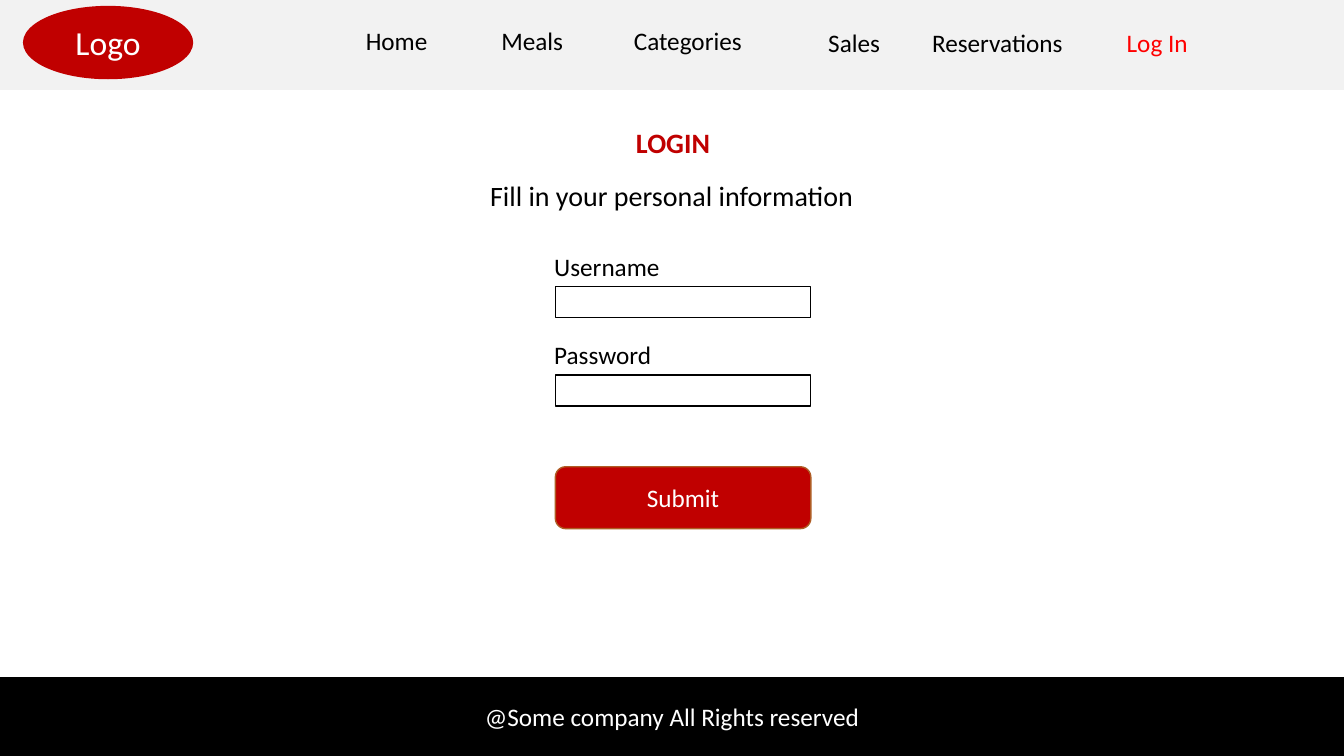
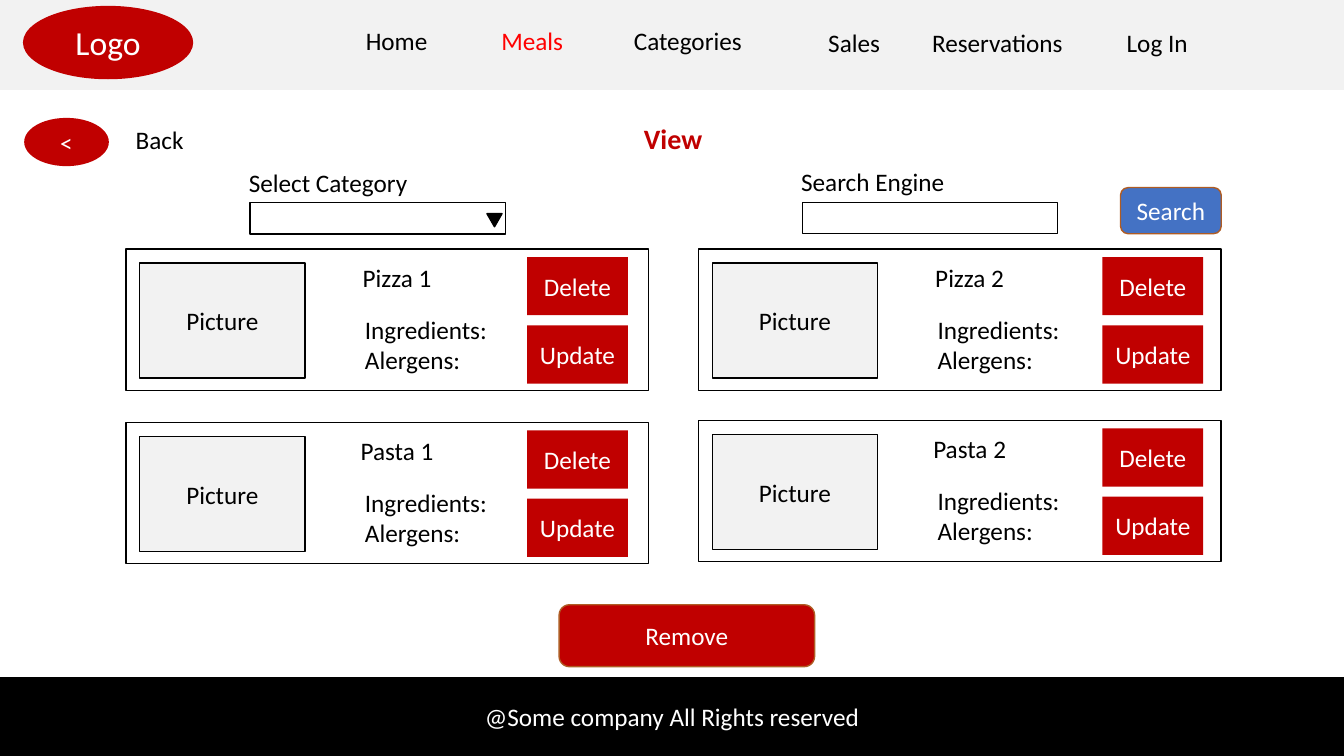
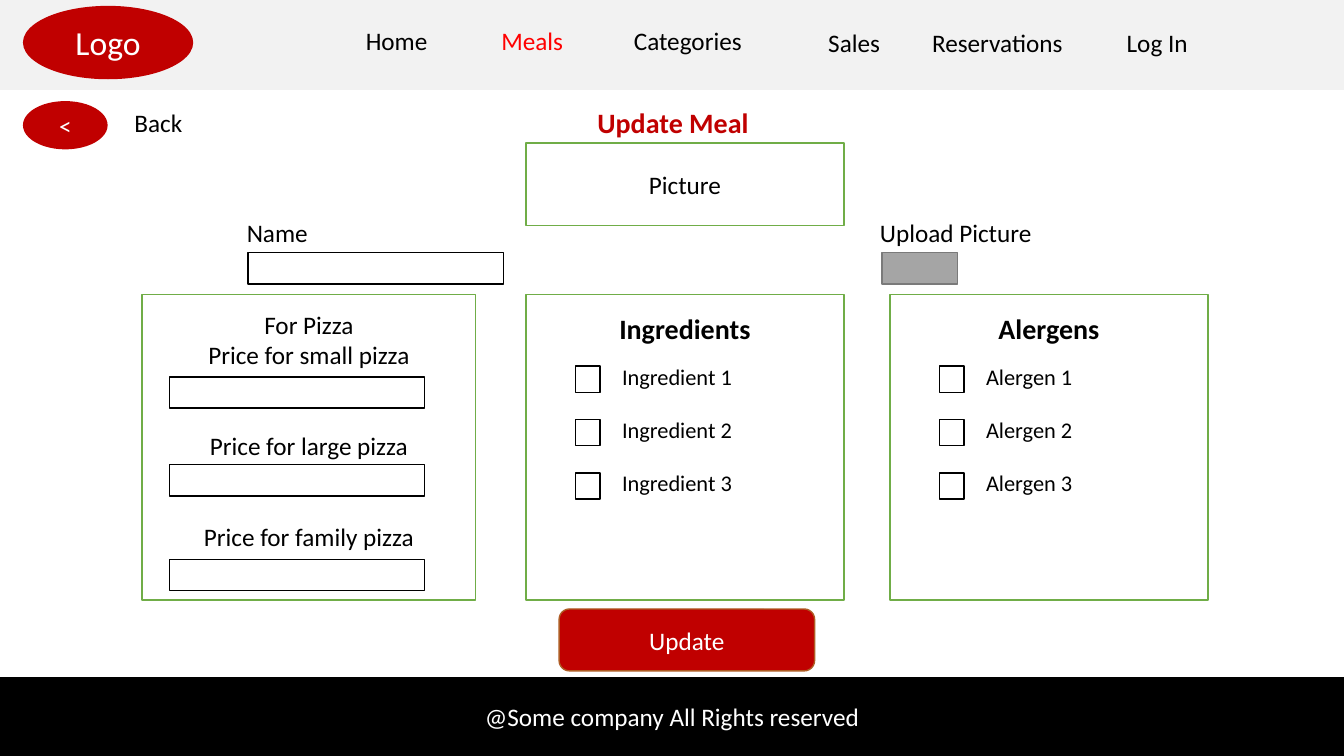
from dataclasses import dataclass

from pptx import Presentation
from pptx.dml.color import RGBColor
from pptx.enum.shapes import MSO_SHAPE
from pptx.enum.text import MSO_ANCHOR, MSO_AUTO_SIZE, PP_ALIGN
from pptx.util import Pt

RECT, ROUNDED = MSO_SHAPE.RECTANGLE, MSO_SHAPE.ROUNDED_RECTANGLE
OVAL, TRIANGLE = MSO_SHAPE.OVAL, MSO_SHAPE.ISOSCELES_TRIANGLE
LEFT, CENTER = PP_ALIGN.LEFT, PP_ALIGN.CENTER
TOP, MIDDLE = MSO_ANCHOR.TOP, MSO_ANCHOR.MIDDLE
GROW = MSO_AUTO_SIZE.SHAPE_TO_FIT_TEXT


@dataclass(frozen=True)
class Theme:
    """Colours, font and type sizes shared by all slides."""
    font: str = "Calibri"
    black: str = "000000"
    white: str = "FFFFFF"
    red: str = "C00000"
    active: str = "FF0000"
    pale: str = "F2F2F2"
    blue: str = "4472C4"
    green: str = "70AD47"
    gray: str = "A5A5A5"
    gray_edge: str = "7A7A7A"
    button_edge: str = "AF5C24"
    small: int = 16
    body: int = 18
    heading: int = 20
    logo: int = 24


T = Theme()

# ---- Content (positions in points) ----
SLIDE_W, SLIDE_H = 960, 540
LOGO = "Logo"
FOOTER = "@Some company All Rights reserved"
NAV = [  # label, left, top, width, alignment
    ("Home", 254.2, 14.4, 59.8, LEFT),
    ("Meals", 344.2, 14.4, 72, CENTER),
    ("Categories", 429.8, 14.4, 123, CENTER),
    ("Sales", 548.6, 15.8, 123, CENTER),
    ("Reservations", 650.9, 15.8, 123, CENTER),
    ("Log In", 790.6, 15.8, 72, CENTER),
]
LOGIN_PROMPT = "Fill in your personal information"
LOGIN_FIELDS = [("Username", 204.5), ("Password", 267.8)]
MEALS = [  # name, card left, card top, buttons left
    ("Pizza 1", 90, 177.8, 376.5),
    ("Pizza 2", 499, 177.8, 787.5),
    ("Pasta 1", 90, 301.6, 376.5),
    ("Pasta 2", 499, 300.2, 787.5),
]
MEAL_DETAILS = ["Ingredients:", "Alergens:"]
MEAL_ACTIONS = ["Delete", "Update"]
PRICES = ["For Pizza", "Price for small pizza", "Price for large pizza",
          "Price for family pizza"]
PRICE_FIELD_TOPS = [269.2, 331.9, 399.6]
CHECKLISTS = [  # heading, panel left, options
    ("Ingredients", 375.8, ["Ingredient 1", "Ingredient 2", "Ingredient 3"]),
    ("Alergens", 635.8, ["Alergen 1", "Alergen 2", "Alergen 3"]),
]

# ---- Shared measures ----
FIELD_W, FIELD_H = 182.5, 22.4
LABEL_H, HEADING_H = 29, 31.5
LABEL_DX, LABEL_DY = -7.9, -28.9
PANEL_TOP, PANEL_W, PANEL_H = 210.3, 227, 218.4
CHECK_PITCH = 38.2


def write(frame, lines, size, color, align, bold=False, gaps=()):
    """Fill a text frame with one paragraph per line; gaps go above lines."""
    lines = [lines] if isinstance(lines, str) else lines
    for i, line in enumerate(lines):
        paragraph = frame.paragraphs[0] if i == 0 else frame.add_paragraph()
        paragraph.text = line
        paragraph.alignment = align
        font = paragraph.font
        font.name, font.size, font.bold = T.font, Pt(size), bold
        font.color.rgb = RGBColor.from_string(color)
        if gaps:
            paragraph.space_before = Pt(gaps[i])


def label(slide, lines, left, top, width, height=LABEL_H, size=T.body,
          color=T.black, align=LEFT, bold=False, gaps=()):
    """Add a wrapping text box."""
    box = slide.shapes.add_textbox(Pt(left), Pt(top), Pt(width), Pt(height))
    box.text_frame.word_wrap = True
    box.text_frame.auto_size = GROW
    write(box.text_frame, lines, size, color, align, bold, gaps)


def block(slide, left, top, width, height, fill=T.white, edge=None,
          kind=RECT, lines=(), color=T.white, size=T.body, gaps=()):
    """Add a flat preset shape, with centred text if lines are given."""
    shape = slide.shapes.add_shape(kind, Pt(left), Pt(top), Pt(width), Pt(height))
    shape.shadow.inherit = False
    if fill:
        shape.fill.solid()
        shape.fill.fore_color.rgb = RGBColor.from_string(fill)
    else:
        shape.fill.background()
    if edge:
        shape.line.color.rgb = RGBColor.from_string(edge)
        shape.line.width = Pt(1)
    else:
        shape.line.fill.background()
    if lines:
        shape.text_frame.vertical_anchor = MIDDLE
        write(shape.text_frame, lines, size, color, CENTER, gaps=gaps)
    return shape


def entry(slide, left, top, caption=None):
    """Add an empty entry field, with its caption above."""
    block(slide, left, top, FIELD_W, FIELD_H, edge=T.black)
    if caption:
        label(slide, caption, left + LABEL_DX, top + LABEL_DY, FIELD_W)


def main_button(slide, text, left, top):
    """Add the large rounded button of a page."""
    block(slide, left, top, FIELD_W, 44.2, T.red, T.button_edge, ROUNDED, text)


def back_link(slide, left, top):
    """Add the round back button and its label."""
    block(slide, left, top, 60.5, 34.5, T.red, kind=OVAL, lines="<")
    label(slide, "Back", left + 72.5, top + 1, 49.7)


def add_page(deck, title, title_top, active):
    """Add a slide with the menu band, title and footer band."""
    slide = deck.slides.add_slide(deck.slide_layouts[6])
    block(slide, 0, 0, SLIDE_W, 64.3, T.pale)
    block(slide, 16.4, 4.2, 121.6, 52.4, T.red, kind=OVAL, lines=LOGO, size=T.logo)
    for text, left, top, width, align in NAV:
        label(slide, text, left, top, width, align=align,
              color=T.active if text == active else T.black)
    label(slide, title, 286, title_top, 389.5, HEADING_H, T.heading, T.red,
          CENTER, bold=True)
    block(slide, 0, 483.8, SLIDE_W, SLIDE_H - 483.8, T.black, T.black, lines=FOOTER)
    return slide


def meal_card(slide, name, left, top, buttons_left):
    """Add one meal with its picture, details and actions."""
    block(slide, left, top, 373.2, 101, edge=T.black)
    block(slide, left + 9.8, top + 10.2, 118, 82, T.pale, T.black,
          lines="Picture", color=T.black)
    label(slide, name, left + 134.6, top + 5.8, 118, align=CENTER)
    label(slide, MEAL_DETAILS, left + 163.6, top + 43, 118, 51)
    for i, action in enumerate(MEAL_ACTIONS):
        block(slide, buttons_left, top + 5.8 + 48.8 * i, 72, 41.6, T.red, lines=action)


def checklist(slide, heading, left, options):
    """Add a panel of options with check boxes."""
    block(slide, left, PANEL_TOP, PANEL_W, PANEL_H, edge=T.green)
    label(slide, heading, left, PANEL_TOP + 8.7, PANEL_W, HEADING_H, T.heading,
          align=CENTER, bold=True)
    label(slide, options, left + 61.5, PANEL_TOP + 45.4, 150, 104.5, T.small,
          gaps=[0] + [18.8] * (len(options) - 1))
    for i in range(len(options)):
        block(slide, left + 35.2, PANEL_TOP + 51.2 + CHECK_PITCH * i, 17.5, 18.7,
              fill=None, edge=T.black)


def login_page(deck):
    """Build the login form."""
    slide = add_page(deck, "LOGIN", 86.4, "Log In")
    label(slide, LOGIN_PROMPT, 285, 123.8, 389.5, HEADING_H, T.heading, align=CENTER)
    for caption, top in LOGIN_FIELDS:
        entry(slide, 396.7, top, caption)
    main_button(slide, "Submit", 396.7, 333.4)


def view_page(deck):
    """Build the meal overview with its filters."""
    slide = add_page(deck, "View", 83.5, "Meals")
    back_link(slide, 17.3, 84.2)
    entry(slide, 178.6, 144.8, "Select Category")
    arrow = block(slide, 347.8, 152.6, 10.8, 9.4, T.black, T.black, TRIANGLE)
    arrow.rotation = 180
    entry(slide, 573.1, 144.5, "Search Engine")
    block(slide, 800.4, 134, 72, 33, T.blue, T.button_edge, ROUNDED, "Search")
    for meal in MEALS:
        meal_card(slide, *meal)
    main_button(slide, "Remove", 399.4, 432)


def update_page(deck):
    """Build the form for changing a meal."""
    slide = add_page(deck, "Update Meal", 72, "Meals")
    back_link(slide, 16.4, 72.2)
    block(slide, 375.8, 102.2, PANEL_W, 59, edge=T.green, lines="Picture", color=T.black)
    entry(slide, 177.1, 180.6, "Name")
    label(slide, "Upload Picture", 621.4, 151.9, 129)
    block(slide, 630, 180.6, 54, FIELD_H, T.gray, T.gray_edge)
    prices = block(slide, 101.5, PANEL_TOP, 238.3, PANEL_H, edge=T.green,
                   lines=PRICES, color=T.black, gaps=[0, 0, 43.5, 43.5])
    prices.text_frame.vertical_anchor = TOP
    prices.text_frame.margin_top = Pt(10.3)
    for top in PRICE_FIELD_TOPS:
        entry(slide, 120.9, top)
    for panel in CHECKLISTS:
        checklist(slide, *panel)
    main_button(slide, "Update", 399.4, 435)


deck = Presentation()
deck.slide_width, deck.slide_height = Pt(SLIDE_W), Pt(SLIDE_H)
login_page(deck)
view_page(deck)
update_page(deck)
deck.save("out.pptx")
